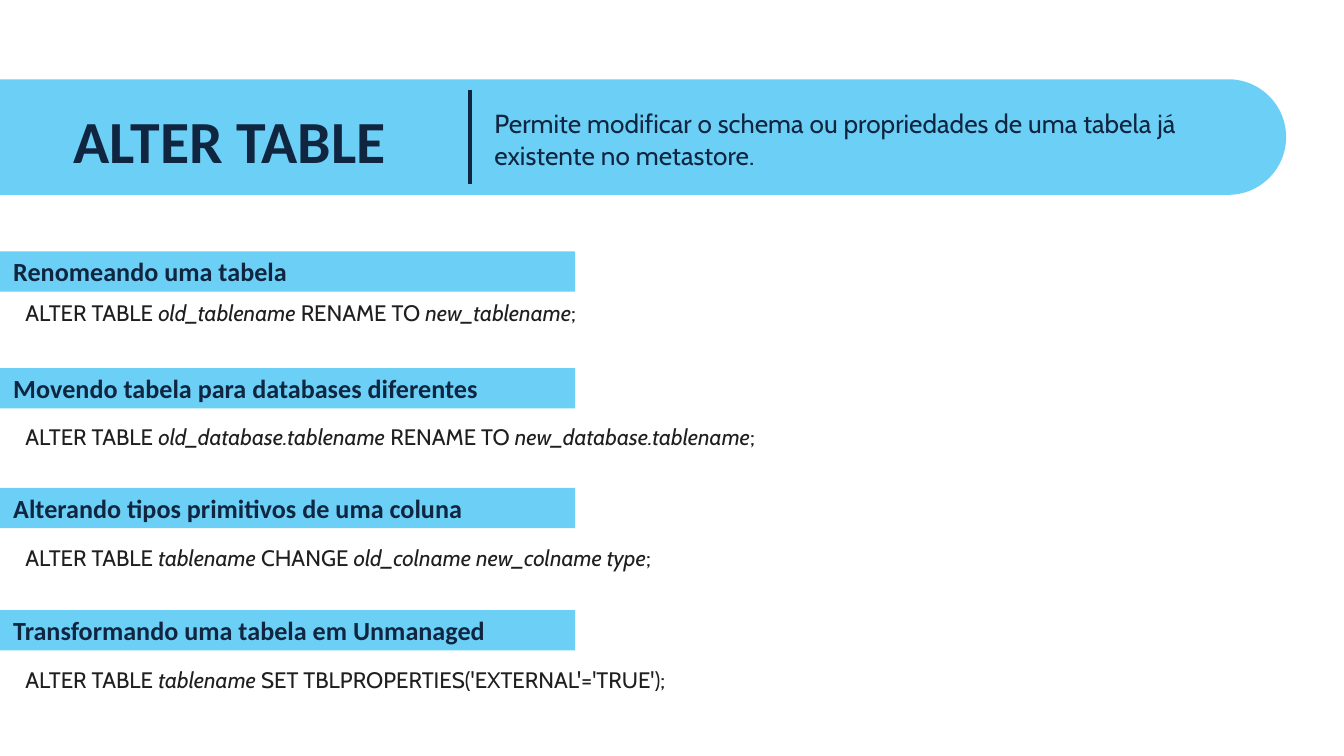
from lxml import etree
from pptx import Presentation
from pptx.dml.color import RGBColor
from pptx.enum import shapes, text
from pptx.oxml import ns
from pptx.util import Inches, Pt

SKY = RGBColor(0x6C, 0xCF, 0xF6)
NAVY = RGBColor(0x10, 0x25, 0x40)
INK = RGBColor(0x1F, 0x1F, 0x1F)

TOPICS = [
    (1.87, "Renomeando uma tabela", 2.18, 5.9,
     "ALTER TABLE *old_tablename *RENAME TO *new_tablename*;"),
    (2.74, "Movendo tabela para databases diferentes", 3.1, 6.32,
     "ALTER TABLE *old_database.tablename *RENAME TO *new_database.tablename*;"),
    (3.63, "Alterando tipos primitivos de uma coluna", 4, 5.9,
     "ALTER TABLE *tablename *CHANGE *old_colname new_colname type*;"),
    (4.54, "Transformando uma tabela em Unmanaged", 4.91, 5.48,
     "ALTER TABLE *tablename *SET TBLPROPERTIES('EXTERNAL'='TRUE');"),
]


def style(para, size, face, color, bold=False, align=text.PP_ALIGN.LEFT):
    para.alignment = align
    font = para.font
    font.size = Pt(size)
    font.name = face
    font.bold = bold
    font.color.rgb = color


def frame(shape, pad, anchor):
    box = shape.text_frame
    box.word_wrap = True
    box.auto_size = text.MSO_AUTO_SIZE.NONE
    box.vertical_anchor = anchor
    box.margin_left = box.margin_right = Inches(0.1)
    box.margin_top = box.margin_bottom = Inches(pad)
    return box


def add_band(slide, kind, left, top, width, height):
    band = slide.shapes.add_shape(
        kind, Inches(left), Inches(top), Inches(width), Inches(height))
    band.shadow.inherit = False
    band.fill.solid()
    band.fill.fore_color.rgb = SKY
    band.line.fill.background()
    return band


def add_title(slide, words):
    title = slide.shapes.title
    title.left, title.top = Inches(-0.08), Inches(0.67)
    title.width, title.height = Inches(3.58), Inches(0.65)
    box = frame(title, 0.1, text.MSO_ANCHOR.TOP)
    box.text = words
    style(box.paragraphs[0], 32, "Calibri", NAVY, True, text.PP_ALIGN.CENTER)
    slide.shapes.element.append(title.element)


def add_intro(slide, words):
    intro = slide.shapes.add_textbox(
        Inches(3.58), Inches(0.62), Inches(5.76), Inches(0.83))
    box = frame(intro, 0.1, text.MSO_ANCHOR.MIDDLE)
    box.text = words
    style(box.paragraphs[0], 14, "Cabin", NAVY)


def add_rule(slide):
    rule = slide.shapes.add_connector(
        shapes.MSO_CONNECTOR.STRAIGHT,
        Inches(3.5), Inches(0.67), Inches(3.5), Inches(1.37))
    rule.line.color.rgb = NAVY
    rule.line.width = Pt(2.25)
    etree.SubElement(rule.element.spPr, ns.qn("a:effectLst"))


def add_head(slide, top, words):
    head = add_band(slide, shapes.MSO_SHAPE.RECTANGLE, 0, top, 4.28, 0.3)
    box = frame(head, 0.1, text.MSO_ANCHOR.MIDDLE)
    box.text = words
    style(box.paragraphs[0], 14, "Calibri", NAVY, True)


def add_code(slide, top, width, words):
    code = slide.shapes.add_textbox(
        Inches(0.09), Inches(top), Inches(width), Inches(0.3))
    box = frame(code, 0.05, text.MSO_ANCHOR.TOP)
    box.auto_size = text.MSO_AUTO_SIZE.SHAPE_TO_FIT_TEXT
    para = box.paragraphs[0]
    style(para, 12, "Cabin", INK)
    for i, part in enumerate(words.split("*")):
        run = para.add_run()
        run.text = part
        run.font.italic = i % 2 == 1


def main():
    deck = Presentation()
    deck.slide_width = Inches(10)
    deck.slide_height = deck.slide_width * 9 // 16
    slide = deck.slides.add_slide(deck.slide_layouts[5])
    band = add_band(
        slide, shapes.MSO_SHAPE.ROUNDED_RECTANGLE, -1.79, 0.59, 11.36, 0.86)
    band.adjustments[0] = 0.5
    add_title(slide, "ALTER TABLE")
    add_intro(slide, "Permite modificar o schema ou propriedades de uma "
                     "tabela já existente no metastore.")
    add_rule(slide)
    for top, name, low, width, code in TOPICS:
        add_head(slide, top, name)
        add_code(slide, low, width, code)
    deck.save("out.pptx")


if __name__ == "__main__":
    main()
